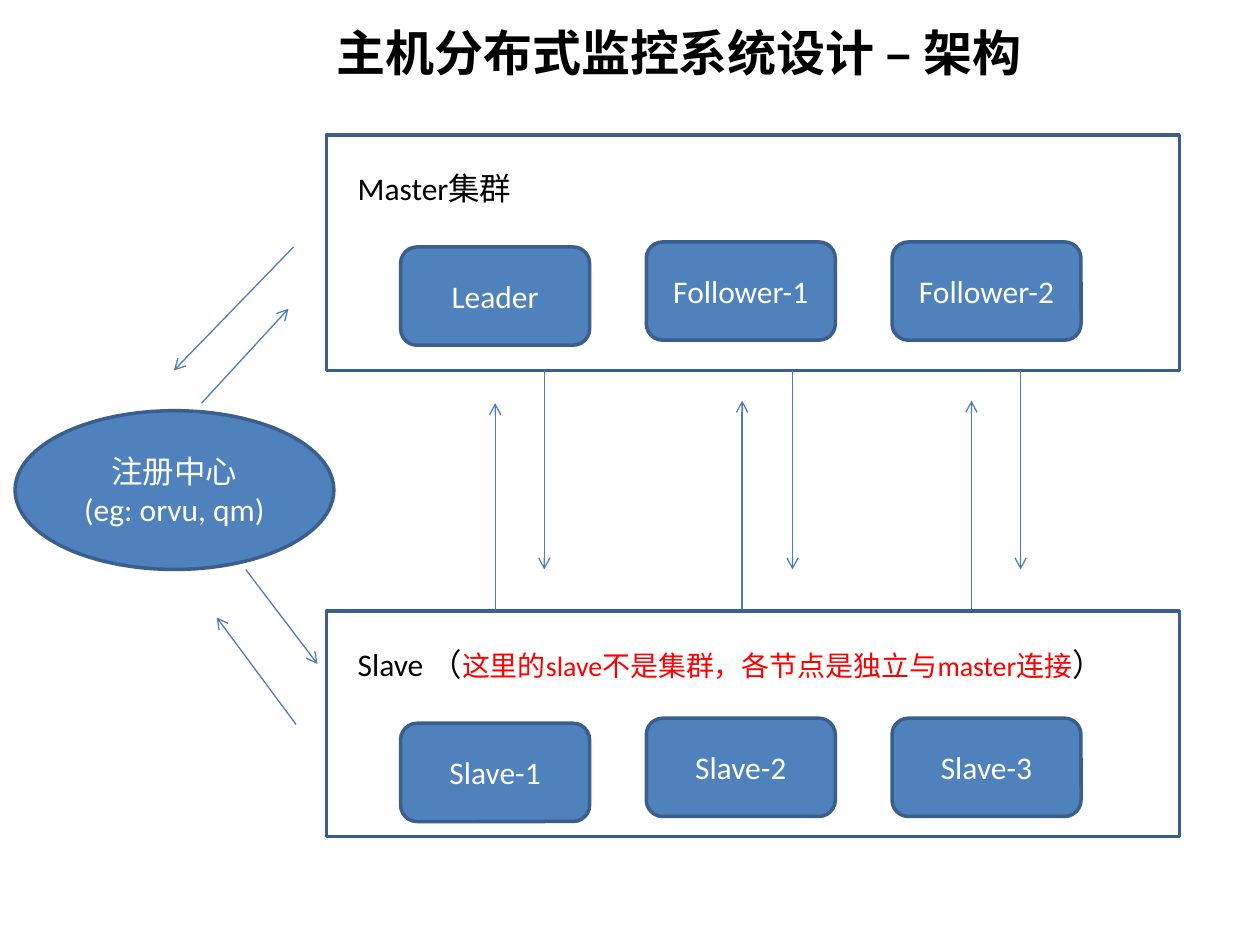
from pptx import Presentation
from pptx.dml.color import RGBColor
from pptx.enum.shapes import MSO_CONNECTOR, MSO_SHAPE
from pptx.enum.text import MSO_ANCHOR, MSO_AUTO_SIZE, PP_ALIGN
from pptx.oxml.ns import qn
from pptx.util import Inches, Pt
from lxml.etree import SubElement

FONT = "Calibri"
BLACK, WHITE, RED = "000000", "FFFFFF", "FF0000"
FILL, BORDER, ARROW = "4F81BD", "3A5F8C", "4B7EBC"

TITLE = "主机分布式监控系统设计 – 架构"
REGISTRY = "注册中心\n(eg: orvu, qm)"

# Each cluster: frame top and height, label top, width and runs, node top, node names
CLUSTERS = [
    {"top": 1.07, "height": 1.87, "label_top": 1.29, "label_width": 1.43,
     "label": [("Master集群", 18, BLACK)],
     "node_top": 1.92, "nodes": ["Leader", "Follower-1", "Follower-2"]},
    {"top": 4.85, "height": 1.79, "label_top": 5.07, "label_width": 6.2,
     "label": [("Slave （", 18, BLACK),
               ("这里的slave不是集群，各节点是独立与master连接", 16, RED),
               ("）", 18, BLACK)],
     "node_top": 5.7, "nodes": ["Slave-1", "Slave-2", "Slave-3"]},
]
FRAME_LEFT, FRAME_WIDTH, LABEL_LEFT = 2.59, 6.77, 2.74
NODE_LEFT, NODE_STEP, NODE_WIDTH, NODE_HEIGHT = 3.18, 1.95, 1.5, 0.78
FIRST_NODE_DROP = 0.04

REGISTRY_ARROWS = [
    (2.33, 1.96, 1.38, 2.94), (1.6, 3.2, 2.29, 2.45),
    (1.95, 4.52, 2.52, 5.27), (2.35, 5.75, 1.72, 4.9),
]
# Upward arrows: x and bottom; downward arrows: x
UP_ARROWS, UP_LENGTH = [(3.93, 4.85), (5.89, 4.83), (7.71, 4.83)], 1.65
DOWN_ARROWS, DOWN_TOP, DOWN_BOTTOM = [4.32, 6.29, 8.1], 2.94, 4.52


def color(hex_code):
    """Turn a hex string into a colour."""
    return RGBColor.from_string(hex_code)


def format_run(run, size, hex_code, bold=False):
    """Set the font of one run."""
    run.font.name = FONT
    run.font.size = Pt(size)
    run.font.bold = bold
    run.font.color.rgb = color(hex_code)


def add_box(slide, kind, left, top, width, height, text=""):
    """Add an outlined shape, filled and captioned when it has text."""
    box = slide.shapes.add_shape(
        kind, Inches(left), Inches(top), Inches(width), Inches(height))
    box.shadow.inherit = False
    box.line.color.rgb = color(BORDER)
    box.line.width = Pt(2)
    if not text:
        box.fill.background()
        return
    box.fill.solid()
    box.fill.fore_color.rgb = color(FILL)
    box.text_frame.text = text
    box.text_frame.vertical_anchor = MSO_ANCHOR.MIDDLE
    for paragraph in box.text_frame.paragraphs:
        paragraph.alignment = PP_ALIGN.CENTER
        for run in paragraph.runs:
            format_run(run, 18, WHITE)


def add_label(slide, top, width, parts):
    """Add a cluster label made of differently formatted runs."""
    label = slide.shapes.add_textbox(
        Inches(LABEL_LEFT), Inches(top), Inches(width), Inches(0.4))
    label.text_frame.word_wrap = True
    for text, size, hex_code in parts:
        run = label.text_frame.paragraphs[0].add_run()
        run.text = text
        format_run(run, size, hex_code)


def add_cluster(slide, cluster):
    """Add a frame with its label and its row of nodes."""
    add_box(slide, MSO_SHAPE.RECTANGLE, FRAME_LEFT, cluster["top"],
            FRAME_WIDTH, cluster["height"])
    for column, name in enumerate(cluster["nodes"]):
        drop = FIRST_NODE_DROP if column == 0 else 0
        add_box(slide, MSO_SHAPE.ROUNDED_RECTANGLE,
                NODE_LEFT + column * NODE_STEP, cluster["node_top"] + drop,
                NODE_WIDTH, NODE_HEIGHT, name)
    add_label(slide, cluster["label_top"], cluster["label_width"], cluster["label"])


def add_arrow(slide, *ends):
    """Add a thin line with an open arrowhead at its end."""
    arrow = slide.shapes.add_connector(MSO_CONNECTOR.STRAIGHT, *map(Inches, ends))
    arrow.line.color.rgb = color(ARROW)
    arrow.line.width = Pt(0.75)
    SubElement(arrow._element.spPr.find(qn("a:ln")), qn("a:tailEnd")).set("type", "arrow")
    SubElement(arrow._element.spPr, qn("a:effectLst"))


def add_title(slide):
    """Place and format the slide title."""
    title = slide.shapes.title
    title.left, title.top = Inches(2.57), Inches(0.13)
    title.width, title.height = Inches(5.84), Inches(0.57)
    title.text_frame.text = TITLE
    title.text_frame.word_wrap = True
    title.text_frame.auto_size = MSO_AUTO_SIZE.NONE
    heading = title.text_frame.paragraphs[0]
    heading.alignment = PP_ALIGN.LEFT
    format_run(heading.runs[0], 28, BLACK, bold=True)


presentation = Presentation()
presentation.slide_width, presentation.slide_height = Inches(10), Inches(7.5)
slide = presentation.slides.add_slide(presentation.slide_layouts[5])

add_title(slide)
for cluster in CLUSTERS:
    add_cluster(slide, cluster)
add_box(slide, MSO_SHAPE.OVAL, 0.12, 3.26, 2.53, 1.26, REGISTRY)

for ends in REGISTRY_ARROWS:
    add_arrow(slide, *ends)
for x, bottom in UP_ARROWS:
    add_arrow(slide, x, bottom, x, bottom - UP_LENGTH)
for x in DOWN_ARROWS:
    add_arrow(slide, x, DOWN_TOP, x, DOWN_BOTTOM)

presentation.save("out.pptx")
